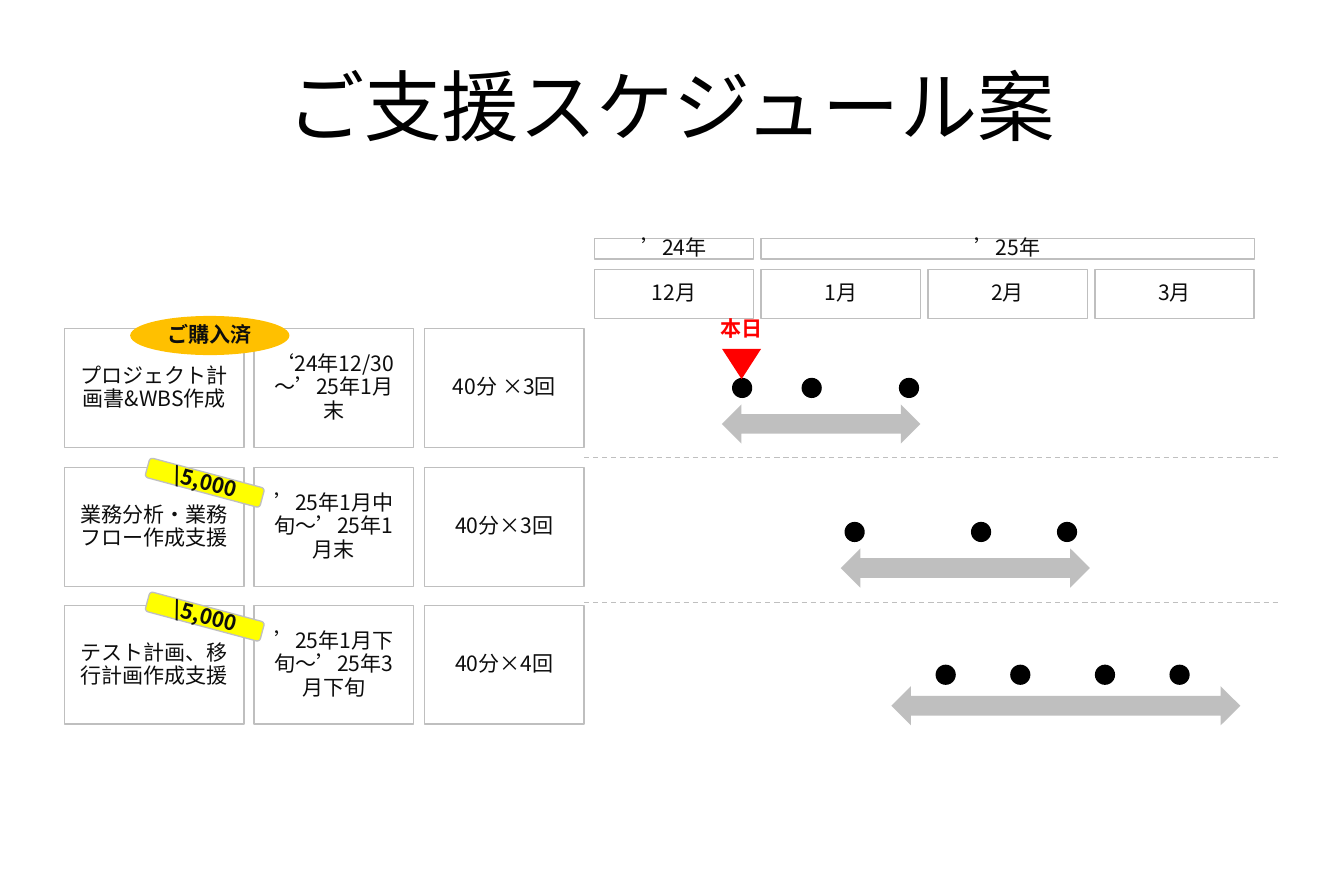
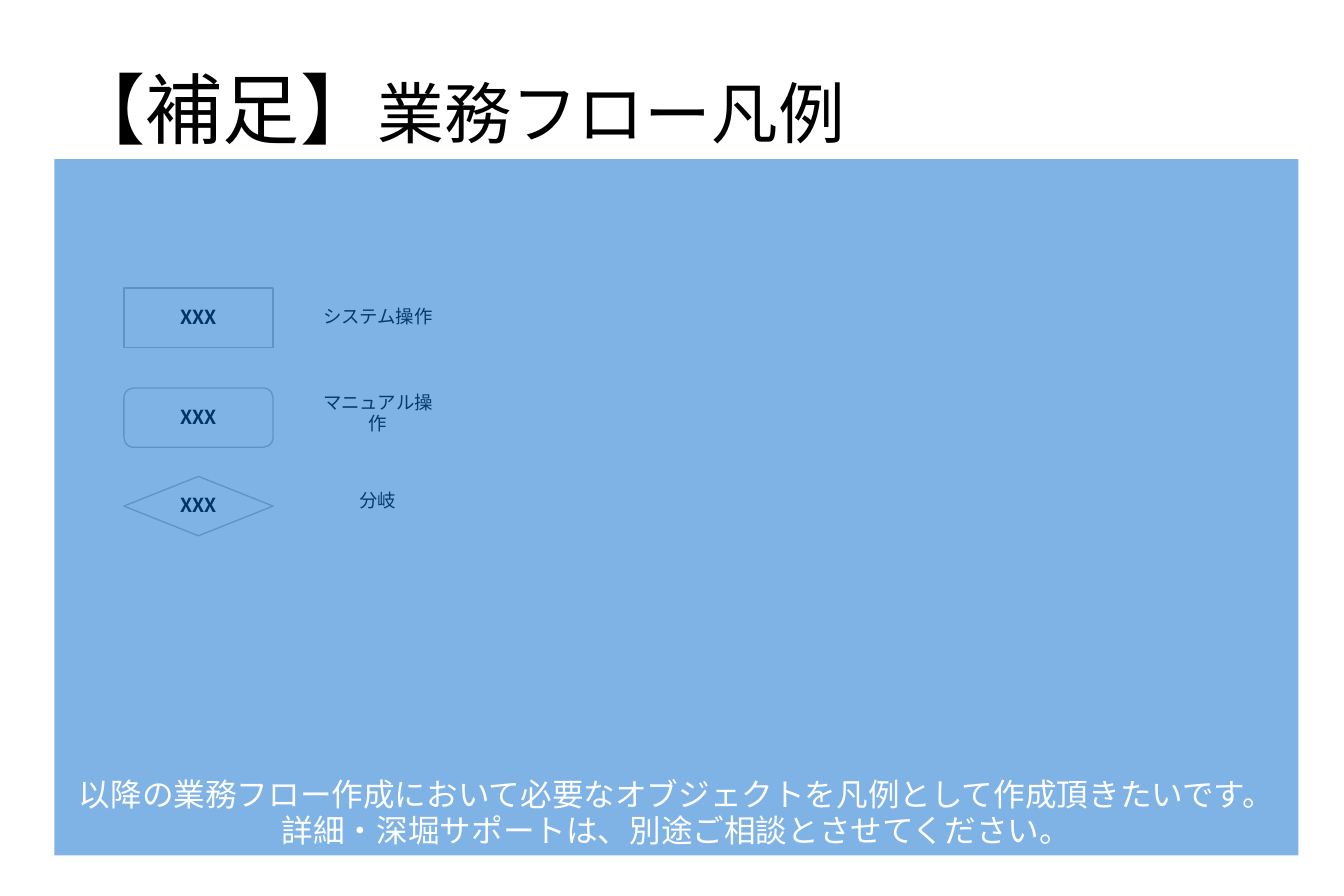
"""Build a support schedule slide and a flowchart legend slide."""
from lxml import etree
from pptx import Presentation
from pptx.dml.color import RGBColor
from pptx.enum.dml import MSO_LINE
from pptx.enum.shapes import MSO_CONNECTOR, MSO_SHAPE
from pptx.enum.text import MSO_ANCHOR, MSO_AUTO_SIZE, PP_ALIGN
from pptx.oxml.ns import qn
from pptx.util import Inches, Pt

RECTANGLE = MSO_SHAPE.RECTANGLE
ROUNDED = MSO_SHAPE.ROUNDED_RECTANGLE
DECISION = MSO_SHAPE.FLOWCHART_DECISION
OVAL = MSO_SHAPE.OVAL
TRIANGLE = MSO_SHAPE.ISOSCELES_TRIANGLE
DOUBLE_ARROW = MSO_SHAPE.LEFT_RIGHT_ARROW
STRAIGHT = MSO_CONNECTOR.STRAIGHT
DASH = MSO_LINE.DASH
CENTER, LEFT = PP_ALIGN.CENTER, PP_ALIGN.LEFT
MIDDLE, BOTTOM = MSO_ANCHOR.MIDDLE, MSO_ANCHOR.BOTTOM
NO_AUTOFIT = MSO_AUTO_SIZE.NONE

COLORS = {
    "white": "FFFFFF", "black": "000000", "text": "0D0D0D", "gray": "BFBFBF",
    "yellow": "FFFF00", "orange": "FFC000", "red": "FF0000", "blue": "0066CC",
}
TITLE_FONT = "Arial"
BODY_FONT = "Noto Sans CJK JP"
LINE_SPACING = 0.93


def format_text(text_frame, size, color="text", bold=False, font=BODY_FONT, align=CENTER):
    """Give every paragraph and run of a text frame one style."""
    for paragraph in text_frame.paragraphs:
        paragraph.alignment = align
        paragraph.line_spacing = LINE_SPACING
        for run in paragraph.runs:
            run.font.name = font
            run.font.size = Pt(size)
            run.font.bold = bold
            run.font.color.rgb = RGBColor.from_string(COLORS[color])
            east_asian = etree.SubElement(run.font._element, qn("a:ea"))
            east_asian.set("typeface", BODY_FONT)


def add_box(slide, kind, place, fill="white", line=None, text="", size=12, **style):
    """Add a preset shape with fill, optional outline and centred text."""
    shape = slide.shapes.add_shape(kind, *[Inches(length) for length in place])
    shape.shadow.inherit = False
    shape.fill.solid()
    shape.fill.fore_color.rgb = RGBColor.from_string(COLORS[fill])
    if line:
        shape.line.color.rgb = RGBColor.from_string(COLORS[line])
        shape.line.width = Pt(0.75)
    else:
        shape.line.fill.background()
    if text:
        shape.text_frame.text = text
        shape.text_frame.vertical_anchor = MIDDLE
        format_text(shape.text_frame, size, **style)
    return shape


presentation = Presentation()
presentation.slide_width = Inches(10.63)
presentation.slide_height = Inches(7.09)

slides = []
for title_runs, align, top_inset in (
    ([("ご支援スケジュール案", 44)], CENTER, 0),
    ([("【補足】", 44), ("業務フロー凡例", 38)], LEFT, 0.04),
):
    slide = presentation.slides.add_slide(presentation.slide_layouts[5])
    title = slide.shapes.title
    title.left, title.top = Inches(0.53), Inches(0.28)
    title.width, title.height = Inches(9.56), Inches(1.18)
    frame = title.text_frame
    frame.auto_size = NO_AUTOFIT
    frame.vertical_anchor = MIDDLE
    frame.margin_left = frame.margin_right = frame.margin_bottom = 0
    frame.margin_top = Inches(top_inset)
    paragraph = frame.paragraphs[0]
    for text, size in title_runs:
        paragraph.add_run().text = text
    format_text(frame, 44, "black", font=TITLE_FONT, align=align)
    for run, (text, size) in zip(paragraph.runs, title_runs):
        run.font.size = Pt(size)
    slides.append(slide)
schedule, legend = slides

properties = legend.shapes.title.text_frame.paragraphs[0]._p.get_or_add_pPr()
properties.set("marL", str(Inches(0.24)))
properties.set("indent", str(Inches(-0.23)))

COLUMNS = [(0.51, 1.42), (2.01, 1.26), (3.36, 1.26)]
ROWS = [
    (2.6, ["プロジェクト計画書&WBS作成", "‘24年12/30～’25年1月末", "40分 ×3回"]),
    (3.7, ["業務分析・業務フロー作成支援", "’25年1月中旬～’25年1月末", "40分×3回"]),
    (4.79, ["テスト計画、移行計画作成支援", "’25年1月下旬～’25年3月下旬", "40分×4回"]),
]
for top, texts in ROWS:
    for (left, width), text in zip(COLUMNS, texts):
        add_box(schedule, RECTANGLE, (left, top, width, 0.94), line="gray", text=text)

MONTH_LEFT, MONTH_WIDTH, MONTH_STEP = 4.7, 1.26, 1.32
for index, month in enumerate(["12月", "1月", "2月", "3月"]):
    left = MONTH_LEFT + index * MONTH_STEP
    add_box(schedule, RECTANGLE, (left, 2.13, MONTH_WIDTH, 0.39), line="gray", text=month)
for year, first, count in (("’24年", 0, 1), ("’25年", 1, 3)):
    left = MONTH_LEFT + first * MONTH_STEP
    width = MONTH_WIDTH + (count - 1) * MONTH_STEP
    add_box(schedule, RECTANGLE, (left, 1.89, width, 0.16), line="gray", text=year)

for top in (3.74, 4.8):
    price_tag = add_box(schedule, ROUNDED, (1.15, top, 0.94, 0.16), "yellow", "gray",
                        r"\5,000", bold=True)
    price_tag.rotation = 15

PERIODS = [
    (5.71, 3.2, 1.57, 2.99, [5.79, 6.34, 7.11]),
    (6.65, 4.34, 1.97, 4.13, [6.68, 7.68, 8.36]),
    (7.05, 5.43, 2.76, 5.26, [7.4, 7.99, 8.66, 9.25]),
]
for left, top, width, session_top, session_lefts in PERIODS:
    add_box(schedule, DOUBLE_ARROW, (left, top, width, 0.31), "gray")
    for session_left in session_lefts:
        add_box(schedule, OVAL, (session_left, session_top, 0.16, 0.16), "black")

for top in (3.62, 4.77):
    divider = schedule.shapes.add_connector(
        STRAIGHT, Inches(4.62), Inches(top), Inches(10.13), Inches(top))
    divider.line.color.rgb = RGBColor.from_string(COLORS["gray"])
    divider.line.width = Pt(0.75)
    divider.line.dash_style = DASH
    etree.SubElement(divider._element.spPr, qn("a:effectLst"))

add_box(schedule, OVAL, (1.03, 2.5, 1.26, 0.31), "orange", text="ご購入済", bold=True)
today_marker = add_box(schedule, TRIANGLE, (5.71, 2.76, 0.31, 0.24), "red")
today_marker.rotation = 180
today_label = schedule.shapes.add_textbox(Inches(5.43), Inches(2.49), Inches(0.87), Inches(0.24))
today_label.text_frame.word_wrap = True
today_label.text_frame.vertical_anchor = MIDDLE
today_label.text_frame.text = "本日"
format_text(today_label.text_frame, 12, "red", bold=True)

LEGEND = [
    (RECTANGLE, 2.28, 2.36, "システム操作"),
    (ROUNDED, 3.07, 3.12, "マニュアル操作"),
    (DECISION, 3.77, 3.81, "分岐"),
]
for kind, symbol_top, label_top, label in LEGEND:
    add_box(legend, kind, (0.98, symbol_top, 1.18, 0.47), line="gray", text="XXX",
            size=11, color="black", bold=True)
    add_box(legend, RECTANGLE, (2.4, label_top, 1.18, 0.31), text=label, size=10.5)

overlay = add_box(
    legend, RECTANGLE, (0.43, 1.26, 9.84, 5.51), "blue", size=18, color="white", font=TITLE_FONT,
    text="以降の業務フロー作成において必要なオブジェクトを凡例として作成頂きたいです。\n"
         "詳細・深堀サポートは、別途ご相談とさせてください。")
overlay.text_frame.vertical_anchor = BOTTOM
overlay.text_frame.margin_top = Inches(0.07)
overlay_color = overlay._element.spPr.find(qn("a:solidFill")).find(qn("a:srgbClr"))
etree.SubElement(overlay_color, qn("a:alpha")).set("val", "50000")

presentation.save("out.pptx")
